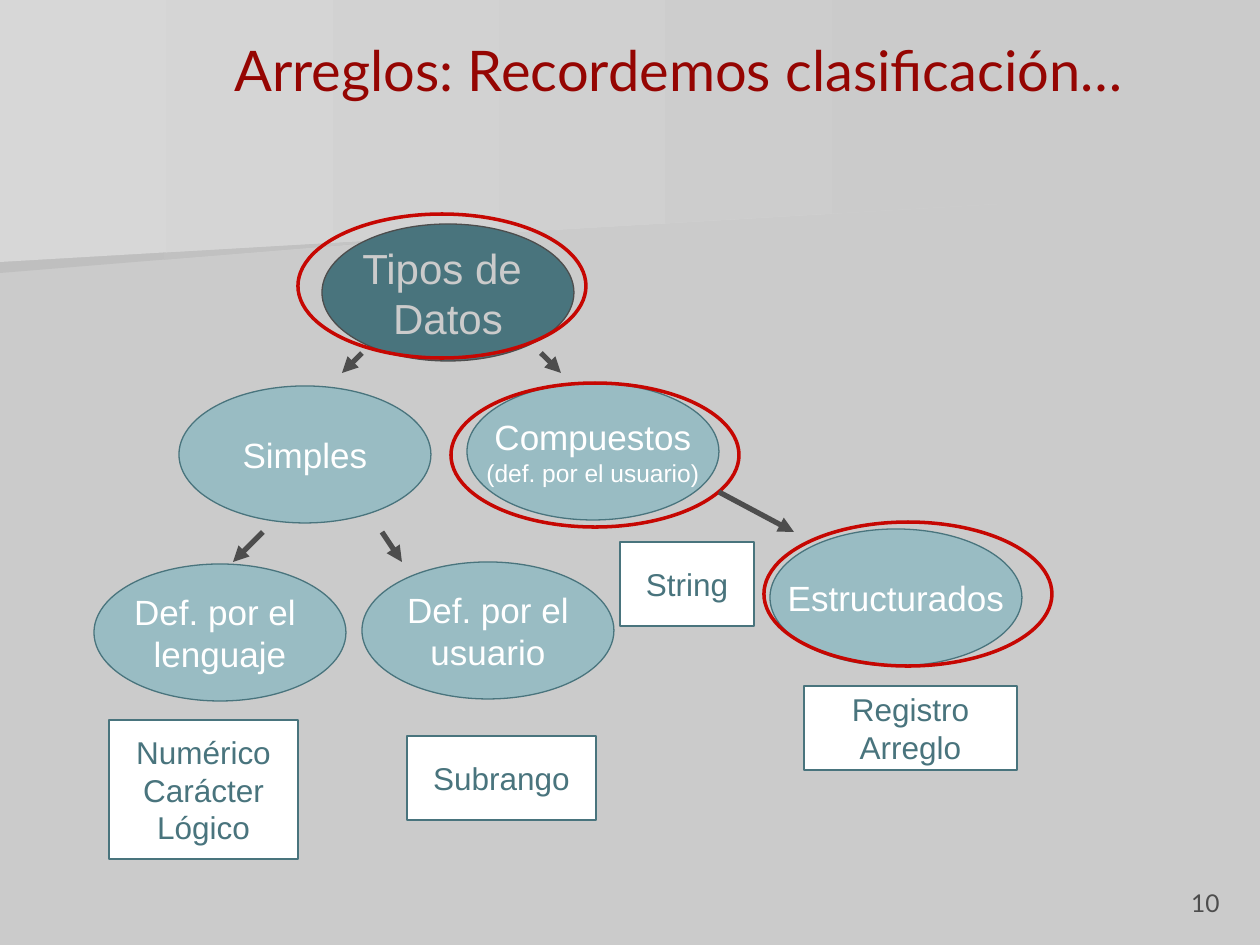
import pptx
import pptx.util
import pptx.dml.color
import pptx.enum.shapes
import pptx.enum.text
import pptx.oxml
import pptx.oxml.ns

COLORS = {
    "background": "CBCBCB",
    "band_light": "D7D7D7",
    "band_shade": "BFBFBF",
    "title": "950502",
    "dark": "4D4D4D",
    "teal": "49747D",
    "pale_teal": "99BCC3",
    "white": "FFFFFF",
    "highlight": "C60702",
}
EMU_PER_PX = 914400 / 126
NODE_SIZE = (252, 137)
RING_SIZE = (288, 144)
ALIGN = pptx.enum.text.PP_ALIGN
ANCHOR = pptx.enum.text.MSO_ANCHOR
SHAPE = pptx.enum.shapes.MSO_SHAPE


def px(*lengths):
    return [pptx.util.Emu(round(length * EMU_PER_PX)) for length in lengths]


def rgb(name):
    return pptx.dml.color.RGBColor.from_string(COLORS[name])


class ClassificationSlide:
    heading_font = "Lato"
    body_font = "Arial"

    def __init__(self, presentation):
        self.slide = presentation.slides.add_slide(presentation.slide_layouts[5])
        fill = self.slide.background.fill
        fill.solid()
        fill.fore_color.rgb = rgb("background")

    def add_text(self, shape, lines, font, color, align, anchor, wrap):
        frame = shape.text_frame
        frame.auto_size = pptx.enum.text.MSO_AUTO_SIZE.NONE
        frame.word_wrap = wrap
        frame.vertical_anchor = anchor
        frame.margin_left = frame.margin_right = pptx.util.Inches(0.1)
        frame.margin_top = frame.margin_bottom = pptx.util.Inches(0.05)
        for index, (text, size) in enumerate(lines):
            paragraph = frame.add_paragraph() if index else frame.paragraphs[0]
            paragraph.alignment = align
            run = paragraph.add_run()
            run.text = text
            run.font.name = font
            run.font.size = pptx.util.Pt(size)
            run.font.color.rgb = rgb(color)

    def band(self, points, start_color):
        builder = self.slide.shapes.build_freeform(*points[0], scale=EMU_PER_PX)
        builder.add_line_segments(points[1:], close=True)
        shape = builder.convert_to_shape()
        shape.shadow.inherit = False
        shape.line.fill.background()
        shape.fill.gradient()
        shape.fill.gradient_angle = 0
        for stop, color in zip(shape.fill.gradient_stops, (start_color, "background")):
            stop.color.rgb = rgb(color)

    def title(self, text, left, top, width, height):
        shape = self.slide.shapes.title
        shape.left, shape.top, shape.width, shape.height = px(left, top, width, height)
        shape.element.getparent().append(shape.element)
        self.add_text(shape, [(text, 32)], self.heading_font, "title",
                      ALIGN.CENTER, ANCHOR.TOP, True)

    def page_number(self, text, left, top, width, height):
        shape = self.slide.shapes.add_textbox(*px(left, top, width, height))
        self.add_text(shape, [(text, 14)], self.heading_font, "dark",
                      ALIGN.RIGHT, ANCHOR.BOTTOM, True)

    def outline(self, preset, box, line_color, line_width, fill_color=None):
        shape = self.slide.shapes.add_shape(preset, *px(*box))
        shape.shadow.inherit = False
        shape.line.color.rgb = rgb(line_color)
        shape.line.width = pptx.util.Pt(line_width)
        if fill_color:
            shape.fill.solid()
            shape.fill.fore_color.rgb = rgb(fill_color)
        else:
            shape.fill.background()
        return shape

    def node(self, left, top, lines, fill="pale_teal", line="teal", color="white"):
        shape = self.outline(SHAPE.OVAL, (left, top, *NODE_SIZE), line, 0.75, fill)
        self.add_text(shape, lines, self.body_font, color,
                      ALIGN.CENTER, ANCHOR.MIDDLE, False)

    def examples(self, left, top, width, height, names):
        box = (left, top, width, height)
        shape = self.outline(SHAPE.RECTANGLE, box, "teal", 0.75, "white")
        self.add_text(shape, [(name, 18) for name in names], self.body_font, "teal",
                      ALIGN.CENTER, ANCHOR.MIDDLE, False)

    def ring(self, left, top):
        self.outline(SHAPE.OVAL, (left, top, *RING_SIZE), "highlight", 2)

    def arrow(self, start_x, start_y, end_x, end_y):
        connector = self.slide.shapes.add_connector(
            pptx.enum.shapes.MSO_CONNECTOR.STRAIGHT,
            *px(start_x, start_y, end_x, end_y))
        connector.line.color.rgb = rgb("dark")
        connector.line.width = pptx.util.Pt(3)
        namespace = pptx.oxml.ns.nsdecls("a")
        properties = connector.element.spPr
        line = properties.find(pptx.oxml.ns.qn("a:ln"))
        line.append(pptx.oxml.parse_xml(f'<a:tailEnd {namespace} type="triangle"/>'))
        properties.append(pptx.oxml.parse_xml(f"<a:effectLst {namespace}/>"))


def main():
    presentation = pptx.Presentation()
    presentation.slide_width, presentation.slide_height = px(1260, 945)
    page = ClassificationSlide(presentation)

    page.band([(980, 193), (0, 273), (0, 127), (981, 127), (980, 161)], "band_shade")
    page.band([(998, 204), (0, 262), (0, 0), (998, 0)], "band_light")
    page.page_number("10", 970, 861, 262, 63)
    page.title("Arreglos: Recordemos clasificación…", 143, 29, 1072, 116)

    page.examples(109, 720, 189, 139, ["Numérico", "Carácter", "Lógico"])
    page.node(322, 224, [("Tipos de ", 24), ("Datos", 24)],
              "teal", "dark", "background")
    page.node(179, 386, [("Simples", 20)])
    page.node(467, 383, [("Compuestos", 20), ("(def. por el usuario)", 14)])
    page.node(94, 564, [("Def. por el ", 20), ("lenguaje", 20)])
    page.node(362, 562, [("Def. por el", 20), ("usuario", 20)])
    for ends in [(362, 353, 342, 373), (541, 353, 561, 373),
                 (263, 532, 233, 562), (382, 532, 402, 562)]:
        page.arrow(*ends)
    page.ring(298, 214)
    page.ring(451, 383)

    page.examples(407, 736, 189, 84, ["Subrango"])
    page.examples(620, 542, 134, 84, ["String"])
    page.examples(804, 686, 213, 84, ["Registro", "Arreglo"])
    page.node(770, 529, [("Estructurados", 20)])
    page.arrow(719, 492, 794, 532)
    page.ring(764, 522)

    presentation.save("out.pptx")


if __name__ == "__main__":
    main()
